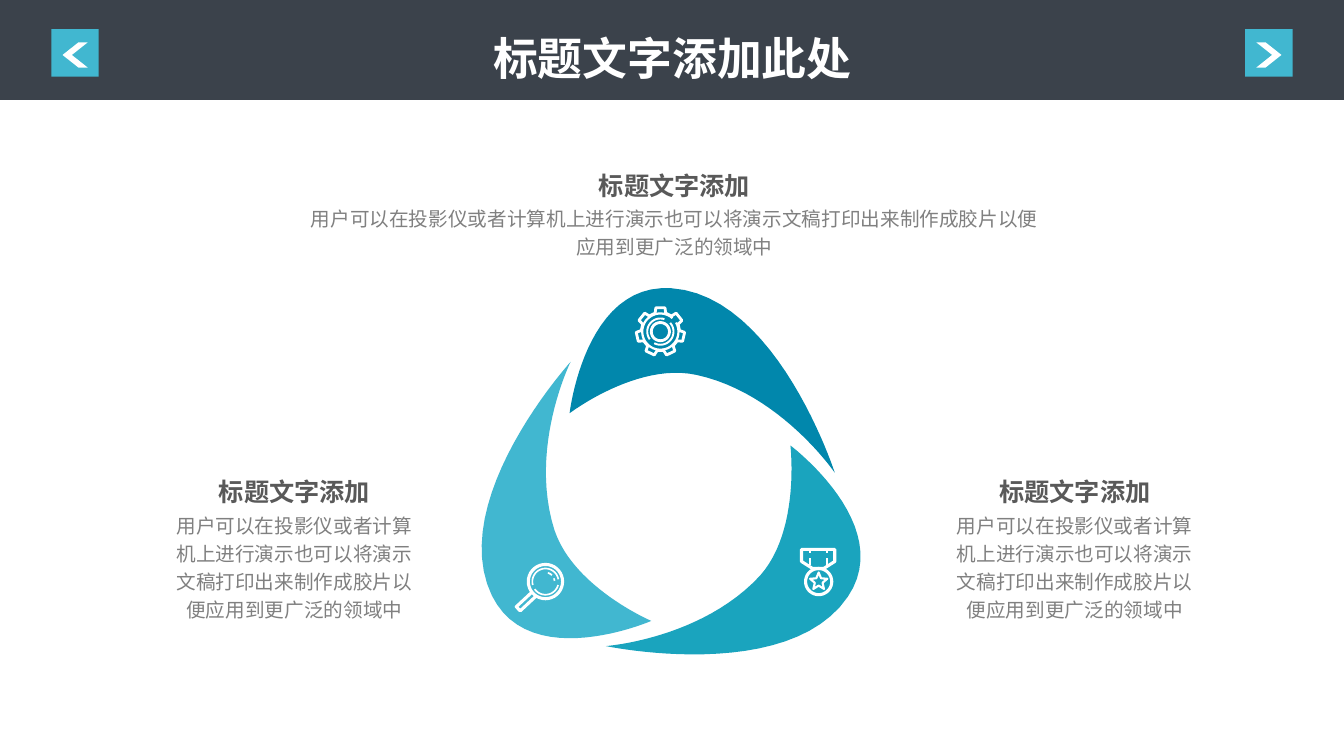
from math import cos, radians, sin

from pptx import Presentation
from pptx.dml.color import RGBColor
from pptx.enum import shapes, text
from pptx.util import Inches, Pt

# Content
TITLE = "标题文字添加此处"
HEADING = "标题文字添加"
BODY = "用户可以在投影仪或者计算机上进行演示也可以将演示文稿打印出来制作成胶片以便应用到更广泛的领域中"

WHITE = RGBColor(0xFF, 0xFF, 0xFF)
DARK = RGBColor(0x3B, 0x42, 0x4B)
SKY = RGBColor(0x41, 0xB7, 0xD0)
TEAL = RGBColor(0x1A, 0xA4, 0xBE)
BLUE = RGBColor(0x01, 0x87, 0xAC)
GREY = RGBColor(0x80, 0x80, 0x80)
CHARCOAL = RGBColor(0x59, 0x59, 0x59)

WIDTH, HEIGHT = 13.33, 7.5
BAND_HEIGHT = 0.99
BUTTON, ARROW = 0.47, 0.25
HEADING_SIZE = (2.45, 0.44)

# Centre, heading top, body width and body height of each caption
CAPTIONS = [(2.92, 4.62, 2.71, 1.23), (10.66, 4.62, 2.71, 1.23), (6.69, 1.58, 7.42, 0.67)]

# Each petal: colour, start, then Bezier curves (two controls and an end)
PETALS = [
    (TEAL, (7.84, 4.42), [
        ((7.84, 4.42), (8.89, 5.21), (8.41, 5.92)),
        ((7.82, 6.79), (6.01, 6.41), (6.01, 6.41)),
        ((6.01, 6.41), (6.96, 6.34), (7.54, 5.71)),
        ((7.94, 5.26), (7.84, 4.42), (7.84, 4.42))]),
    (SKY, (6.46, 6.16), [
        ((6.46, 6.16), (5.26, 6.68), (4.88, 5.91)),
        ((4.42, 4.96), (5.66, 3.59), (5.66, 3.59)),
        ((5.66, 3.59), (5.24, 4.44), (5.50, 5.26)),
        ((5.69, 5.83), (6.46, 6.16), (6.46, 6.16))]),
    (BLUE, (5.65, 4.10), [
        ((5.65, 4.10), (5.80, 2.80), (6.66, 2.86)),
        ((7.71, 2.93), (8.28, 4.69), (8.28, 4.69)),
        ((8.28, 4.69), (7.74, 3.90), (6.91, 3.72)),
        ((6.32, 3.59), (5.65, 4.10), (5.65, 4.10))]),
]

LENS, GEAR, MEDAL = (5.41, 5.77), (6.55, 3.29), (8.12, 5.77)
TEETH = 7

# Icon arcs: centre, radius, start and end angle, line width
ARCS = [
    (LENS, 0.17, 0, 360, 2.2), (LENS, 0.13, 15, 145, 1.2),
    (LENS, 0.13, 165, 350, 1.2), (LENS, 0.09, 285, 315, 1.2),
    (LENS, 0.09, 340, 355, 1.2),
    (GEAR, 0.09, 0, 360, 2), (GEAR, 0.13, 144, 288, 1.4),
    (GEAR, 0.13, -42, 118, 1.4), (GEAR, 0.18, -30, 312, 1.6),
    (MEDAL, 0.13, 0, 360, 2.2),
]


def polar(centre, radius, angle):
    return (centre[0] + radius * cos(radians(angle)), centre[1] + radius * sin(radians(angle)))


def curve_points(start, curves, steps=24):
    points = [start]
    for first, second, end in curves:
        for t in (step / steps for step in range(1, steps + 1)):
            weights = ((1 - t) ** 3, 3 * t * (1 - t) ** 2, 3 * t * t * (1 - t), t ** 3)
            corners = (start, first, second, end)
            points.append(tuple(sum(w * c[axis] for w, c in zip(weights, corners))
                                for axis in (0, 1)))
        start = end
    return points


def outline(points, closed=True):
    start, *rest = [(Inches(x), Inches(y)) for x, y in points]
    builder = page.shapes.build_freeform(*start)
    builder.add_line_segments(rest, close=closed)
    shape = builder.convert_to_shape()
    shape.shadow.inherit = False
    return shape


def paint(shape, colour):
    shape.shadow.inherit = False
    shape.fill.solid()
    shape.fill.fore_color.rgb = colour
    shape.line.fill.background()


def stroke(points, width, closed=False):
    shape = outline(points, closed)
    shape.fill.background()
    shape.line.color.rgb = WHITE
    shape.line.width = Pt(width)


def add_block(kind, left, top, width, height, colour):
    shape = page.shapes.add_shape(kind, Inches(left), Inches(top), Inches(width), Inches(height))
    paint(shape, colour)
    return shape


def write(box, words, size, colour, bold):
    frame = box.text_frame
    frame.word_wrap = True
    frame.vertical_anchor = text.MSO_ANCHOR.TOP
    para = frame.paragraphs[0]
    para.alignment = text.PP_ALIGN.CENTER
    para.line_spacing = 1.2
    span = para.add_run()
    span.text = words
    span.font.color.rgb = colour
    for name, value in {"name": "Arial", "size": Pt(size), "bold": bold}.items():
        setattr(span.font, name, value)


def add_text(left, top, width, height, *style):
    box = page.shapes.add_textbox(Inches(left), Inches(top), Inches(width), Inches(height))
    write(box, *style)


deck = Presentation()
deck.slide_width, deck.slide_height = Inches(WIDTH), Inches(HEIGHT)
page = deck.slides.add_slide(deck.slide_layouts[5])

# Petals
for colour, start, curves in PETALS:
    paint(outline(curve_points(start, curves)), colour)

# Icons: round parts, then handle, teeth, ribbon and star
for centre, radius, begin, finish, width in ARCS:
    sweep = finish - begin
    stroke([polar(centre, radius, begin + sweep * i / 36) for i in range(37)],
           width, sweep == 360)
stroke([(5.27, 5.88), (5.12, 6.02), (5.16, 6.06), (5.31, 5.92)], 2.2)
stroke([polar(GEAR, radius, tooth * 360 / TEETH - 90 + offset)
        for tooth in range(TEETH)
        for radius, offset in ((0.19, -16), (0.24, -11), (0.24, 11), (0.19, 16))], 2, True)
stroke([(7.95, 5.45), (8.28, 5.45), (8.28, 5.57), (8.17, 5.64),
        (8.06, 5.64), (7.95, 5.57)], 2.2, True)
for x in (8.03, 8.2):
    for top, bottom in ((5.45, 5.49), (5.54, 5.61)):
        stroke([(x, top), (x, bottom)], 1.4)
stroke([polar(MEDAL, 0.04 if i % 2 else 0.09, i * 36 - 90) for i in range(10)], 1.5, True)

# Captions
for centre, top, width, height in CAPTIONS:
    add_text(centre - width / 2, top + 0.38, width, height, BODY, 14, GREY, False)
    add_text(centre - HEADING_SIZE[0] / 2, top, *HEADING_SIZE, HEADING, 18, CHARCOAL, True)

# Title band
band = add_block(shapes.MSO_SHAPE.RECTANGLE, 0, 0, WIDTH, BAND_HEIGHT, DARK)
title = page.shapes.title
band.element.addnext(title.element)
title.left, title.top, title.width, title.height = map(Inches, (4.04, 0.15, 5.26, 0.75))
write(title, TITLE, 32, WHITE, True)

# Navigation buttons
inset = (BUTTON - ARROW) / 2
for left, turn in ((0.51, 180), (WIDTH - 0.51 - BUTTON, 0)):
    add_block(shapes.MSO_SHAPE.RECTANGLE, left, 0.29, BUTTON, BUTTON, SKY)
    arrow = add_block(shapes.MSO_SHAPE.CHEVRON, left + inset, 0.42, ARROW, ARROW, WHITE)
    arrow.adjustments[0] = 0.63
    arrow.rotation = turn

deck.save("out.pptx")
